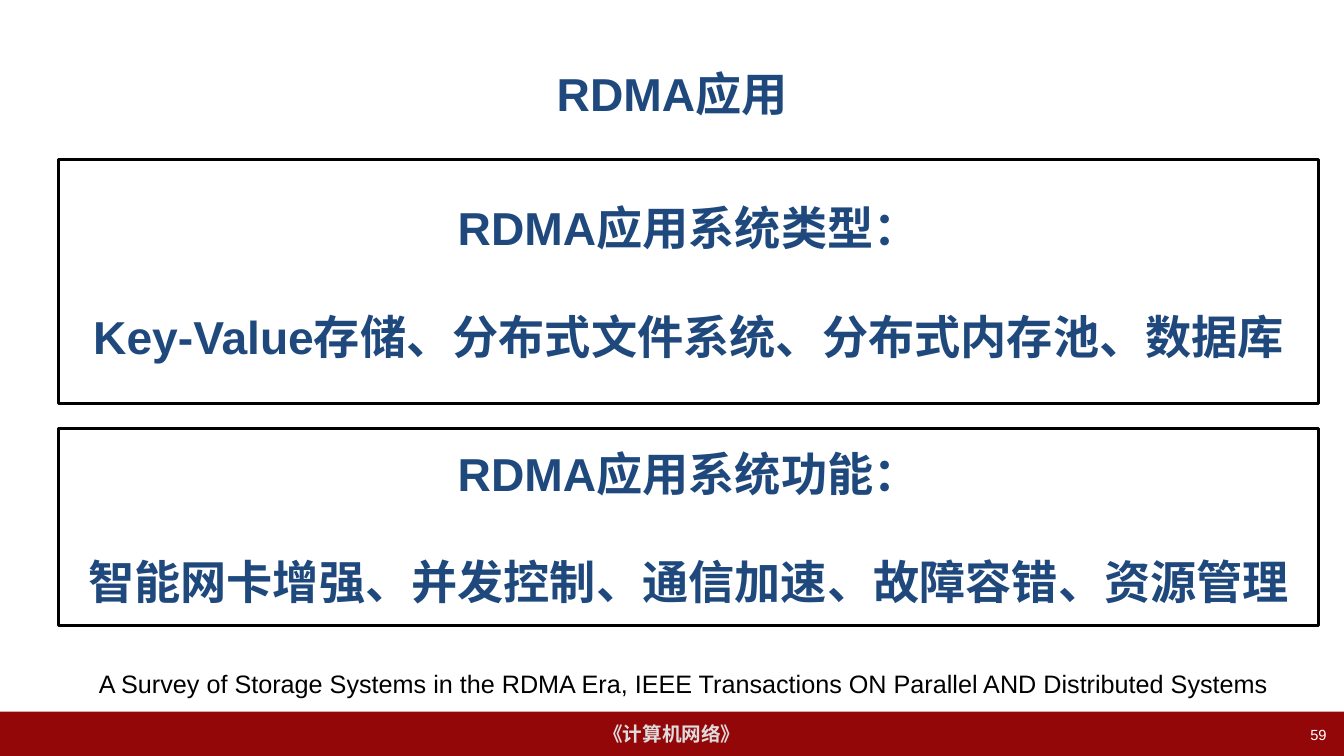
import dataclasses

import pptx
import pptx.dml.color
import pptx.enum.shapes
import pptx.enum.text
import pptx.util

Cm = pptx.util.Cm
Pt = pptx.util.Pt
Align = pptx.enum.text.PP_ALIGN
Anchor = pptx.enum.text.MSO_ANCHOR


@dataclasses.dataclass(frozen=True)
class Theme:
    font: str = "Arial"
    heading: str = "1F497D"
    ink: str = "000000"
    paper: str = "FFFFFF"
    band: str = "940709"
    band_text: str = "DDDDDD"
    heading_size: float = 33
    citation_size: float = 18
    footer_size: float = 14
    number_size: float = 10.5
    line_width: float = 2
    line_gap: float = 38


def rgb(code):
    return pptx.dml.color.RGBColor.from_string(code)


def write_text(box, lines, font, size, color, bold=False, align=Align.CENTER,
               anchor=Anchor.MIDDLE, wrap=True, gap=0):
    frame = box.text_frame
    frame.word_wrap = wrap
    frame.vertical_anchor = anchor
    for index, line in enumerate(lines):
        para = frame.add_paragraph() if index else frame.paragraphs[0]
        para.alignment = align
        if index:
            para.space_before = Pt(gap)
        span = para.add_run()
        span.text = line
        span.font.name = font
        span.font.size = Pt(size)
        span.font.bold = bold
        span.font.color.rgb = rgb(color)


class PageBuilder:
    def __init__(self, page, theme):
        self.page = page
        self.theme = theme

    def text(self, place, line, size, color, **style):
        box = self.page.shapes.add_textbox(*map(Cm, place))
        write_text(box, [line], self.theme.font, size, color, **style)

    def rectangle(self, place, fill, lines, size, color, line_color=None, **style):
        box = self.page.shapes.add_shape(
            pptx.enum.shapes.MSO_SHAPE.RECTANGLE, *map(Cm, place))
        box.shadow.inherit = False
        box.fill.solid()
        box.fill.fore_color.rgb = rgb(fill)
        if line_color:
            box.line.color.rgb = rgb(line_color)
            box.line.width = Pt(self.theme.line_width)
        else:
            box.line.fill.background()
        write_text(box, lines, self.theme.font, size, color, bold=True, **style)

    def panel(self, top, height, lines):
        theme = self.theme
        self.rectangle((1.48, top, 31.75, height), theme.paper, lines,
                       theme.heading_size, theme.heading,
                       line_color=theme.ink, gap=theme.line_gap)


def main():
    deck = pptx.Presentation()
    deck.slide_width = Cm(33.87)
    deck.slide_height = Cm(19.05)
    theme = Theme()
    builder = PageBuilder(deck.slides.add_slide(deck.slide_layouts[6]), theme)

    builder.rectangle((0, 17.93, 33.87, 1.12), theme.band, ["《计算机网络》"],
                      theme.footer_size, theme.band_text, wrap=False)
    builder.text((1.7, 0.76, 30.48, 3.18), "RDMA应用",
                 theme.heading_size, theme.heading, bold=True)
    builder.text((25.78, 18.16, 7.9, 0.89), "59", theme.number_size,
                 theme.paper, align=Align.RIGHT, anchor=Anchor.TOP)
    builder.panel(4.02, 6.14, [
        "RDMA应用系统类型：",
        "Key-Value存储、分布式文件系统、分布式内存池、数据库"])
    builder.panel(10.8, 4.97, [
        "RDMA应用系统功能：",
        "智能网卡增强、并发控制、通信加速、故障容错、资源管理"])
    builder.text((2.24, 16.72, 30.25, 1.02),
                 "A Survey of Storage Systems in the RDMA Era, "
                 "IEEE Transactions ON Parallel AND Distributed Systems",
                 theme.citation_size, theme.ink, align=Align.LEFT,
                 anchor=Anchor.TOP, wrap=False)
    deck.save("out.pptx")


if __name__ == "__main__":
    main()
